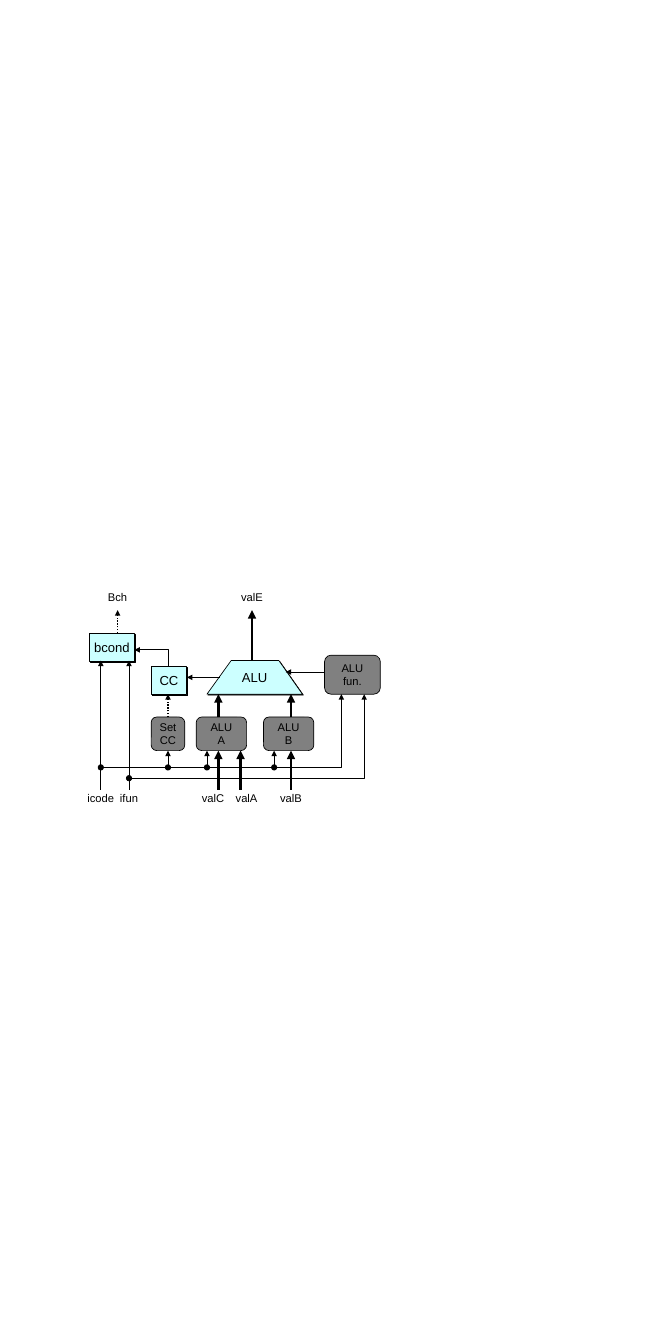
from pptx import Presentation
from pptx.dml.color import RGBColor
from pptx.enum import dml, shapes, text
from pptx.oxml import parse_xml
from pptx.oxml.ns import nsdecls, qn
from pptx.util import Inches, Pt

BLACK, CYAN, GREY = "000000", "CCFFFF", "808080"
RECT = shapes.MSO_SHAPE.RECTANGLE
ROUND = shapes.MSO_SHAPE.ROUNDED_RECTANGLE
OVAL = shapes.MSO_SHAPE.OVAL

# text, left, top, width, height
UNITS = [
    ("bcond", 1.33, 9.42, 0.67, 0.42),
    ("CC", 2.25, 9.92, 0.53, 0.42),
]
LOGIC = [
    ("Set\nCC", 2.25, 10.67, 0.5, 0.5),
    ("ALU\nA", 2.92, 10.67, 0.75, 0.5),
    ("ALU\nB", 3.92, 10.67, 0.75, 0.5),
    ("ALU\nfun.", 4.83, 9.75, 0.83, 0.58),
]
ALU = [(3.08, 10.33), (4.5, 10.33), (4.15, 9.83), (3.44, 9.83)]

# text, centre
OUT_TOP, IN_TOP = 8.67, 11.67
OUTPUTS = [("Bch", 1.75), ("valE", 3.75)]
INPUTS = [("icode", 1.5), ("ifun", 1.92), ("valC", 3.17),
          ("valA", 3.67), ("valB", 4.33)]

# Levels shared by the wires
IN_Y, IFUN_Y, ICODE_Y = 11.75, 11.58, 11.42
LOW, HIGH, BASE, UNIT, OUT_Y = 11.17, 10.67, 10.33, 9.83, 9.08

# x, from, to
BUSES = [(3.25, IN_Y, LOW), (3.58, IN_Y, LOW), (4.33, IN_Y, LOW),
         (3.25, HIGH, BASE), (4.33, HIGH, BASE), (3.75, UNIT, OUT_Y)]
DOTTED = [(1.75, 9.42, OUT_Y), (2.5, HIGH, BASE)]
TAPS = [2.5, 3.08, 4.08]
RISERS = [(x, IN_Y, UNIT) for x in (1.5, 1.92)]
RISERS += [(x, ICODE_Y, LOW) for x in TAPS]
FLAGS = [((3.27, 10.08), (2.78, 10.08)), ((4.83, 10), (4.25, 10))]
BENDS = [
    [(1.5, ICODE_Y), (5.08, ICODE_Y), (5.08, BASE)],
    [(1.92, IFUN_Y), (5.42, IFUN_Y), (5.42, BASE)],
    [(2.5, 9.92), (2.5, 9.67), (2, 9.67)],
]
DOTS = [(x, ICODE_Y) for x in [1.5] + TAPS] + [(1.92, IFUN_Y)]
DOT = 0.08

prs = Presentation()
prs.slide_width, prs.slide_height = Inches(10), Inches(20)
slide = prs.slides.add_slide(prs.slide_layouts[6])
tree = slide.shapes


def color(hue):
    return RGBColor.from_string(hue)


def paint(shape, fill):
    shape.shadow.inherit = False
    shape.fill.solid()
    shape.fill.fore_color.rgb = color(fill)
    shape.line.color.rgb = color(BLACK)
    shape.line.width = Pt(0.75)


def cast(shape):
    """Give the shape a small hard shadow to the lower right."""
    shape._element.spPr.find(qn("a:effectLst")).append(parse_xml(
        f'<a:outerShdw {nsdecls("a")} dist="17960" dir="2700000" '
        f'rotWithShape="0"><a:srgbClr val="{BLACK}"/></a:outerShdw>'))


def write(shape, words, size):
    frame = shape.text_frame
    frame.word_wrap = False
    frame.vertical_anchor = text.MSO_ANCHOR.MIDDLE
    frame.margin_left = frame.margin_right = 0
    frame.margin_top = frame.margin_bottom = 0
    frame.text = words
    for para in frame.paragraphs:
        para.alignment = text.PP_ALIGN.CENTER
        para.font.name, para.font.size = "Arial", Pt(size)
        para.font.color.rgb = color(BLACK)


def trace(points, close):
    """Build an outline through points given in inches."""
    first, *rest = [(Inches(x), Inches(y)) for x, y in points]
    pen = tree.build_freeform(*first)
    pen.add_line_segments(rest, close=close)
    return pen.convert_to_shape()


def wire(points, width, dotted=False):
    """Draw a line or a bent path with an arrowhead at its end."""
    if len(points) == 2:
        ends = [Inches(v) for point in points for v in point]
        path = tree.add_connector(shapes.MSO_CONNECTOR.STRAIGHT, *ends)
        path._element.spPr.append(parse_xml(
            f'<a:effectLst {nsdecls("a")}/>'))
    else:
        path = trace(points, False)
        path.shadow.inherit = False
        path.fill.background()
    path.line.color.rgb = color(BLACK)
    path.line.width = Pt(width)
    if dotted:
        path.line.dash_style = dml.MSO_LINE.ROUND_DOT
    path.line._get_or_add_ln().append(parse_xml(
        f'<a:tailEnd {nsdecls("a")} type="triangle"/>'))


for kind, fill, size, group in ((RECT, CYAN, 14, UNITS),
                                (ROUND, GREY, 12, LOGIC)):
    for words, *place in group:
        box = tree.add_shape(kind, *map(Inches, place))
        paint(box, fill)
        write(box, words, size)
        if kind == RECT:
            cast(box)

alu = trace(ALU, True)
paint(alu, CYAN)
cast(alu)
write(alu, "ALU", 14)

for top, group in ((OUT_TOP, OUTPUTS), (IN_TOP, INPUTS)):
    for words, mid in group:
        label = tree.add_textbox(Inches(mid - 0.25), Inches(top),
                                 Inches(0.5), Inches(0.42))
        write(label, words, 12)

for group, width, dotted in ((BUSES, 3, False), (DOTTED, 1.5, True),
                             (RISERS, 1, False)):
    for x, start, end in group:
        wire([(x, start), (x, end)], width, dotted)
for points in FLAGS:
    wire(points, 0.75)
for points in BENDS:
    wire(points, 1)

for x, y in DOTS:
    dot = tree.add_shape(OVAL, Inches(x - DOT / 2), Inches(y - DOT / 2),
                         Inches(DOT), Inches(DOT))
    paint(dot, BLACK)

prs.save("out.pptx")
